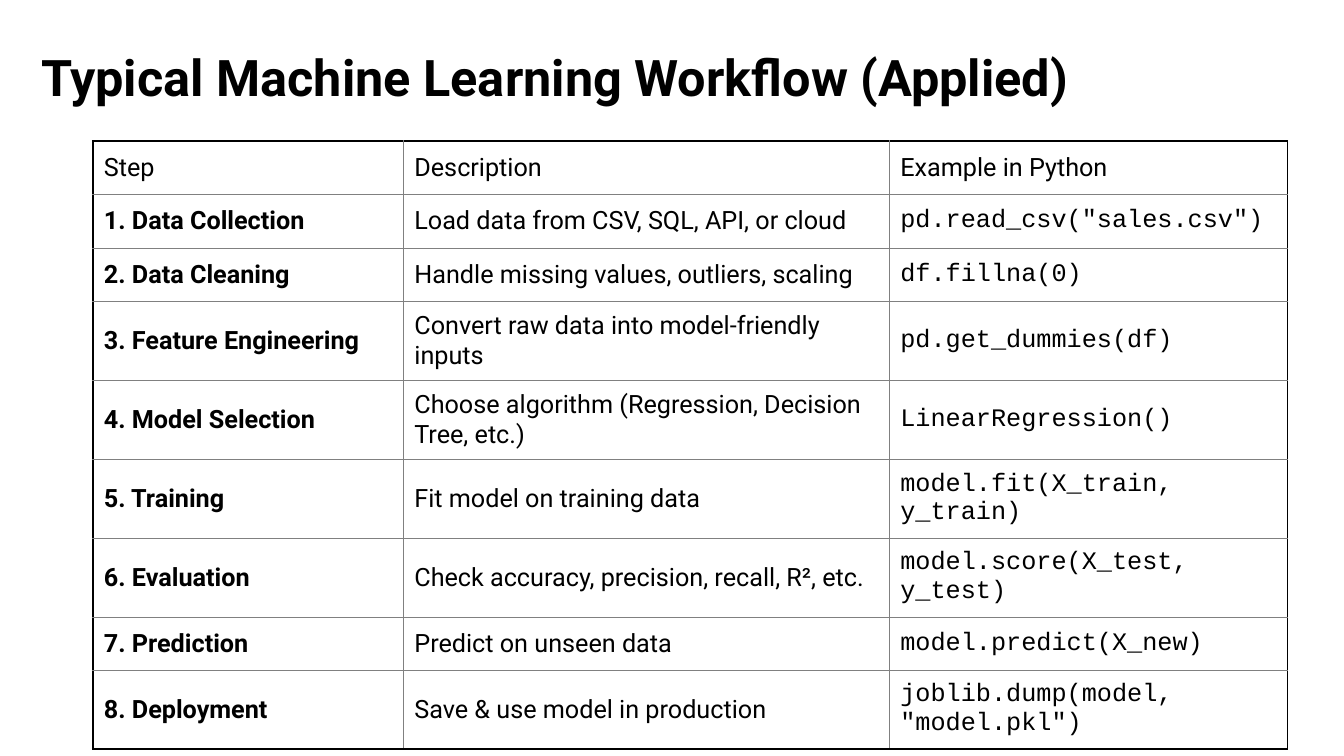
from dataclasses import dataclass

from lxml import etree
from pptx import Presentation
from pptx import util as u
from pptx.dml import color
from pptx.enum import text
from pptx.oxml import ns

COLORS = {"ink": "000000", "grid": "808080"}
SANS, MONO = "Roboto", "Courier New"
WIDTHS = (3.08, 4.82, 3.95)
ROW, TALL = 0.53, 0.79
INSETS = {"margin_left": 0.11, "margin_right": 0.07,
          "margin_top": 0.09, "margin_bottom": 0.09}


@dataclass
class Step:
    name: str
    detail: str
    code: str
    height: float = ROW


STEPS = [
    Step("Step", "Description", "Example in Python"),
    Step("1. Data Collection", "Load data from CSV, SQL, API, or cloud",
         'pd.read_csv("sales.csv")'),
    Step("2. Data Cleaning", "Handle missing values, outliers, scaling",
         "df.fillna(0)"),
    Step("3. Feature Engineering",
         "Convert raw data into model-friendly inputs", "pd.get_dummies(df)"),
    Step("4. Model Selection",
         "Choose algorithm (Regression, Decision Tree, etc.)",
         "LinearRegression()", TALL),
    Step("5. Training", "Fit model on training data",
         "model.fit(X_train, y_train)"),
    Step("6. Evaluation", "Check accuracy, precision, recall, R², etc.",
         "model.score(X_test, y_test)"),
    Step("7. Prediction", "Predict on unseen data", "model.predict(X_new)"),
    Step("8. Deployment", "Save & use model in production",
         'joblib.dump(model, "model.pkl")'),
]


def write(par, words: str, face: str, size: float, bold: bool) -> None:
    run = par.add_run()
    run.text = words
    form = {"name": face, "size": u.Pt(size), "bold": bold}
    for key, value in form.items():
        setattr(run.font, key, value)
    run.font.color.rgb = color.RGBColor.from_string(COLORS["ink"])


def add_edges(cell, outer: dict[str, bool]) -> None:
    """Draw a thick dark line on outer sides and a thin grey one elsewhere."""
    props = cell._tc.get_or_add_tcPr()
    for spot, (side, edge) in enumerate(outer.items()):
        line = etree.Element(ns.qn(f"a:ln{side}"),
                             w=str(u.Pt(1.5 if edge else 0.5)))
        fill = etree.SubElement(line, ns.qn("a:solidFill"))
        etree.SubElement(fill, ns.qn("a:srgbClr"),
                         val=COLORS["ink" if edge else "grid"])
        props.insert(spot, line)


def add_title(slide, words: str) -> None:
    box = slide.shapes.add_textbox(*map(u.Inches, (0.31, 0.2, 12.69, 1.2)))
    frame = box.text_frame
    frame.word_wrap = True
    frame.vertical_anchor = text.MSO_ANCHOR.MIDDLE
    par = frame.paragraphs[0]
    par.line_spacing = 0.9
    par.space_after = u.Pt(6)
    write(par, words, SANS, 36, True)


def add_steps(slide, steps: list[Step]) -> None:
    total = sum(step.height for step in steps)
    area = map(u.Inches, (0.92, 1.4, sum(WIDTHS), total))
    table = slide.shapes.add_table(len(steps), len(WIDTHS), *area).table
    table.first_row = table.horz_banding = False
    for col, width in zip(table.columns, WIDTHS):
        col.width = u.Inches(width)

    end_row, end_col = len(steps) - 1, len(WIDTHS) - 1
    for r, step in enumerate(steps):
        table.rows[r].height = u.Inches(step.height)
        for c, words in enumerate((step.name, step.detail, step.code)):
            cell = table.cell(r, c)
            for key, value in INSETS.items():
                setattr(cell, key, u.Inches(value))
            cell.vertical_anchor = text.MSO_ANCHOR.MIDDLE
            cell.fill.background()
            face = MONO if r > 0 and c == end_col else SANS
            write(cell.text_frame.paragraphs[0], words, face, 18,
                  r > 0 and c == 0)
            add_edges(cell, {"L": c == 0, "R": c == end_col,
                             "T": r == 0, "B": r == end_row})


def main() -> None:
    deck = Presentation()
    deck.slide_width, deck.slide_height = u.Inches(13.33), u.Inches(7.5)
    slide = deck.slides.add_slide(deck.slide_layouts[6])

    # Heading
    add_title(slide, "Typical Machine Learning Workflow (Applied)")

    # Workflow table
    add_steps(slide, STEPS)

    deck.save("out.pptx")


if __name__ == "__main__":
    main()
